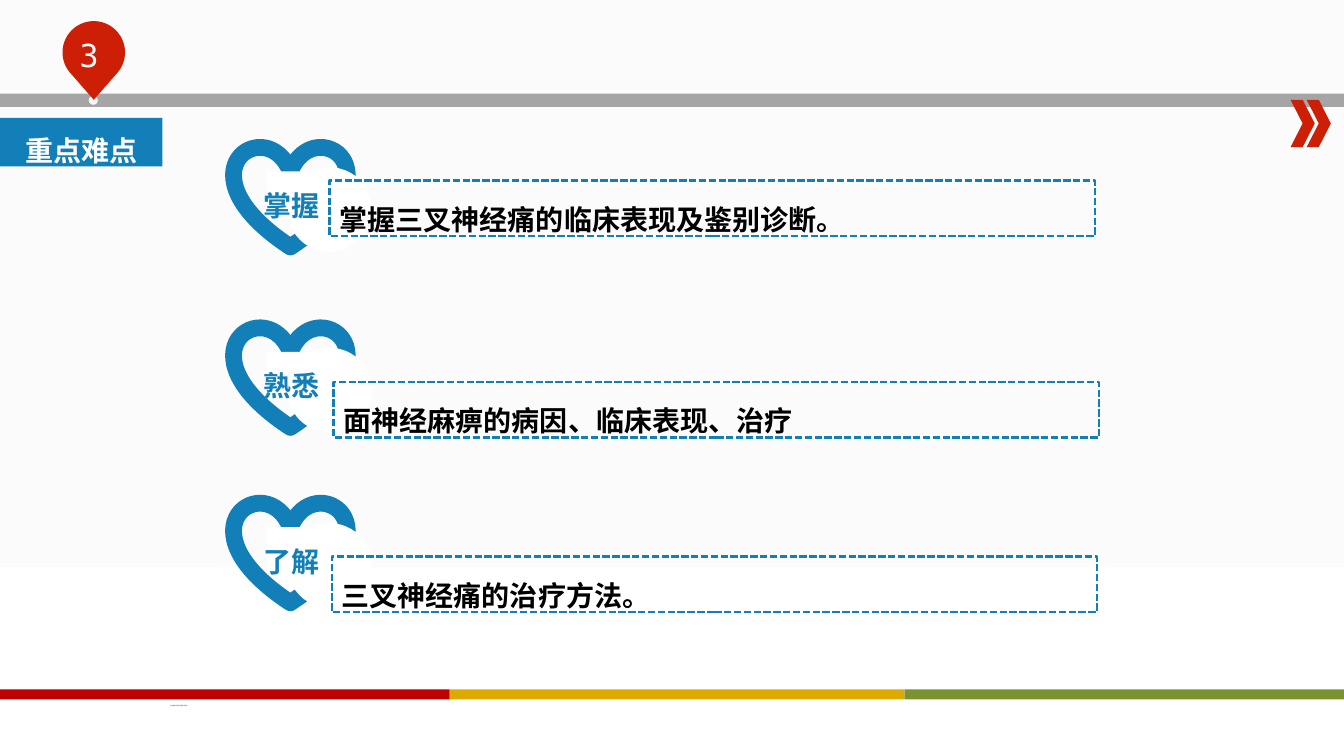
import math
from lxml import etree
from pptx import Presentation, util as u
from pptx.dml.color import RGBColor
from pptx.enum import dml, shapes as sh, text as t
from pptx.oxml.ns import qn

BLUE, RED, WHITE = "127FB8", "CD1F06", "FFFFFF"
TITLE = "重点难点"
SECTION = "3"
FOOTER = "某市健康医学院附属某某医院"
# label, goal, heart top, cover height, goal box left and top
GOALS = [
    ("掌握", "掌握三叉神经痛的临床表现及鉴别诊断。", 1.45, 0.35, 3.27, 1.79),
    ("熟悉", "面神经麻痹的病因、临床表现、治疗", 3.24, 0.23, 3.31, 3.79),
    ("了解", "三叉神经痛的治疗方法。", 4.98, 0.46, 3.29, 5.52),
]
STRIPES = ["C00000", "DEA900", "7C912F"]
BACKGROUND = [(0, "FBFBFB"), (50, "FBFBFB"), (100, "FFFFFF"), (100, "FCFCFC")]

prs = Presentation()
prs.slide_width, prs.slide_height = u.Inches(13.33), u.Inches(7.5)
slide = prs.slides.add_slide(prs.slide_layouts[5])
SHAPE = sh.MSO_SHAPE


def rgb(color):
    return RGBColor.from_string(color)


def box(*lengths):
    return [u.Inches(length) for length in lengths]


def paint(part, fill=None, line=None, width=1):
    """Set fill and outline, leaving out whichever is not given."""
    if fill:
        part.fill.solid()
        part.fill.fore_color.rgb = rgb(fill)
    else:
        part.fill.background()
    if line:
        part.line.color.rgb = rgb(line)
        part.line.width = u.Pt(width)
    else:
        part.line.fill.background()


def add(kind, at, **look):
    part = slide.shapes.add_shape(kind, *box(*at))
    part.shadow.inherit = False
    paint(part, **look)
    return part


def write(part, words, color, size=20, font="Times New Roman", bold=True,
          align=t.PP_ALIGN.CENTER, anchor=t.MSO_ANCHOR.MIDDLE, spacing=1.5, wrap=True):
    frame = part.text_frame
    frame.text = words
    frame.word_wrap = wrap
    frame.auto_size = t.MSO_AUTO_SIZE.NONE
    frame.vertical_anchor = anchor
    paragraph = frame.paragraphs[0]
    paragraph.alignment = align
    paragraph.line_spacing = spacing
    run = paragraph.runs[0]
    run.font.size, run.font.bold, run.font.name = u.Pt(size), bold, font
    run.font.color.rgb = rgb(color)
    east_asian = etree.SubElement(run.font._element, qn("a:ea"))
    east_asian.set("typeface", "Noto Sans CJK SC")


# Background
slide.background.fill.gradient()
slide.background.fill.gradient_angle = 270
stops = slide.element.find(".//" + qn("a:gsLst"))
for stop in list(stops):
    stops.remove(stop)
for percent, color in BACKGROUND:
    stop = etree.SubElement(stops, qn("a:gs"), pos=str(percent * 1000))
    etree.SubElement(stop, qn("a:srgbClr"), val=color)

# Header bar, chevrons and numbered pin
add(SHAPE.RECTANGLE, (0, 0.93, 13.33, 0.13), fill="A5A5A5")
for left in (12.8, 12.96):
    add(SHAPE.CHEVRON, (left, 0.99, 0.24, 0.47), fill=RED)
add(SHAPE.OVAL, (0.88, 0.95, 0.09, 0.09), fill="F6F6F6")

pin_x, pin_y, radius, tip_y = 0.93, 0.52, 0.31, 0.99
arc = [box(pin_x + radius * math.cos(math.radians(a)), pin_y + radius * math.sin(math.radians(a)))
       for a in range(-225, 46, 5)]
outline = slide.shapes.build_freeform(*box(pin_x, tip_y))
outline.add_line_segments(arc, close=True)
pin = outline.convert_to_shape()
pin.shadow.inherit = False
paint(pin, fill=RED)
number = slide.shapes.add_textbox(*box(0.45, 0.31, 0.87, 0.41))
write(number, SECTION, WHITE, size=22.6, font="DejaVu Sans Mono", bold=False,
      anchor=t.MSO_ANCHOR.TOP, spacing=1)

# Footer
for i, color in enumerate(STRIPES):
    add(SHAPE.RECTANGLE, (-0.04 + 4.505 * i, 6.84, 4.5, 0.1), fill=color)
footer = slide.shapes.add_textbox(*box(1.59, 6.95, 0.38, 0.12))
write(footer, FOOTER, "1F497D", size=1, font="Noto Sans CJK SC", bold=False,
      align=t.PP_ALIGN.LEFT, anchor=t.MSO_ANCHOR.TOP, spacing=1, wrap=False)

# Title
title = slide.shapes.title
title.left, title.top, title.width, title.height = box(0, 1.17, 1.61, 0.48)
paint(title, fill=BLUE)
write(title, TITLE, WHITE)

# Goals: an opened heart with a label, and a dashed box
for label, goal, top, cover, goal_left, goal_top in GOALS:
    heart = add(SHAPE.HEART, (2.32, top, 1.12, 1), line=BLUE, width=12)
    etree.SubElement(heart.line._get_or_add_ln(), qn("a:round"))
    add(SHAPE.OVAL, (2.85, top + 0.21, 0.84, 0.84), fill=WHITE)
    add(SHAPE.RECTANGLE, (2.65, top + 0.25, 0.46, cover), fill=WHITE)
    write(slide.shapes.add_textbox(*box(2.27, top + 0.26, 1.25, 0.48)), label, BLUE)
    goal_box = add(SHAPE.RECTANGLE, (goal_left, goal_top, 7.59, 0.55), line=BLUE, width=1.75)
    goal_box.line.dash_style = dml.MSO_LINE.SQUARE_DOT
    write(goal_box, goal, "000000", align=t.PP_ALIGN.LEFT, anchor=t.MSO_ANCHOR.TOP)

prs.save("out.pptx")
